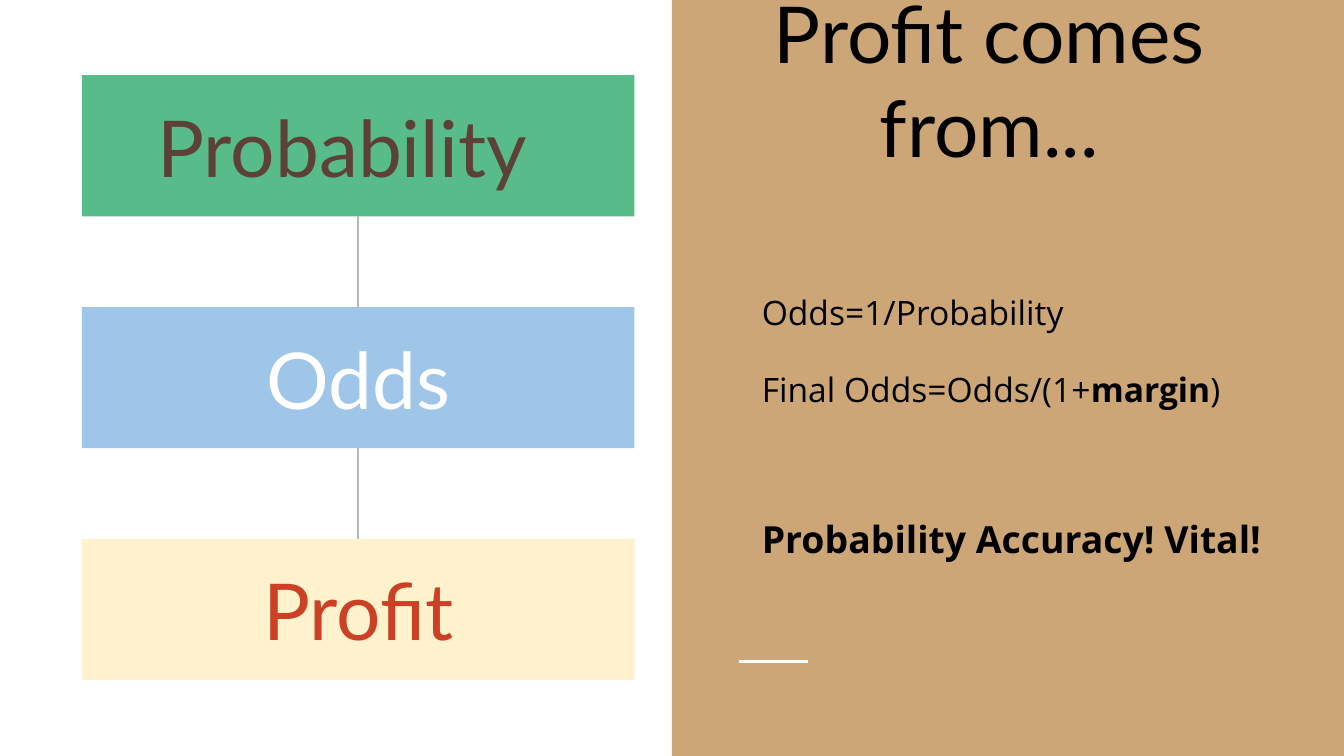
from lxml.etree import SubElement
from pptx import Presentation
from pptx.dml.color import RGBColor
from pptx.enum.shapes import MSO_CONNECTOR, MSO_SHAPE
from pptx.enum.text import MSO_ANCHOR, PP_ALIGN
from pptx.oxml.ns import qn
from pptx.util import Inches, Pt


def rgb(color):
    """Turn a hex string into a colour."""
    return RGBColor.from_string(color)


def add_rect(s, x, y, w, h, fill):
    """Add a filled rectangle without an outline."""
    sp = s.shapes.add_shape(
        MSO_SHAPE.RECTANGLE, Inches(x), Inches(y), Inches(w), Inches(h))
    sp.shadow.inherit = False
    sp.fill.solid()
    sp.fill.fore_color.rgb = rgb(fill)
    sp.line.fill.background()
    return sp


def add_line(s, x1, y1, x2, y2, color, width):
    """Add a straight line without a shadow."""
    line = s.shapes.add_connector(
        MSO_CONNECTOR.STRAIGHT, Inches(x1), Inches(y1), Inches(x2), Inches(y2))
    line.line.color.rgb = rgb(color)
    line.line.width = Pt(width)
    SubElement(line._element.spPr, qn("a:effectLst"))
    return line


def set_frame(tf, anchor, top=0.1, right=0.1):
    """Set wrapping, anchor and insets of a text frame."""
    tf.word_wrap = True
    tf.vertical_anchor = anchor
    tf.margin_left = tf.margin_bottom = Inches(0.1)
    tf.margin_top = Inches(top)
    tf.margin_right = Inches(right)


def add_run(p, text, size, font, color, bold=False):
    """Add one formatted run to a paragraph."""
    r = p.add_run()
    r.text = text
    r.font.size = Pt(size)
    r.font.name = font
    r.font.bold = bold
    r.font.color.rgb = rgb(color)


def add_chain(s, x, y, w, h):
    """Stack the three steps evenly and join neighbours with lines."""
    steps = [
        ("Probability", "57BB8A", "5D4037", 0.34),
        ("Odds", "9FC5E8", "FFFFFF", 0.1),
        ("Profit", "FFF2CC", "CC4125", 0.1),
    ]
    step_h = 1.05
    pitch = (h - step_h) / (len(steps) - 1)
    boxes = []
    for i, (text, fill, color, right) in enumerate(steps):
        sp = add_rect(s, x, y + i * pitch, w, step_h, fill)
        set_frame(sp.text_frame, MSO_ANCHOR.MIDDLE, right=right)
        p = sp.text_frame.paragraphs[0]
        p.alignment = PP_ALIGN.CENTER
        add_run(p, text, 42, "Lato", color)
        boxes.append(sp)
    for upper, lower in zip(boxes, boxes[1:]):
        line = add_line(s, x, y, x, y, "B7B7B7", 0.75)
        line.begin_connect(upper, 2)
        line.end_connect(lower, 0)


def add_panel(s, x, y, w, h):
    """Draw the tan panel with its title, formulas and short rule."""
    add_rect(s, x, y, w, h, "CCA677")
    add_line(s, x + 0.5, y + 4.92, x + 1.01, y + 4.92, "FFFFFF", 1.5)

    title = s.shapes.add_textbox(
        Inches(x + 0.24), Inches(y + 0.56), Inches(4.24), Inches(0.83))
    set_frame(title.text_frame, MSO_ANCHOR.BOTTOM)
    p = title.text_frame.paragraphs[0]
    p.alignment = PP_ALIGN.CENTER
    add_run(p, "Profit comes from...", 42, "Lato", "000000")

    body = s.shapes.add_textbox(
        Inches(x + 0.57), Inches(y + 0.79), Inches(4.2), Inches(4.04))
    tf = body.text_frame
    set_frame(tf, MSO_ANCHOR.TOP, top=1.34)
    lines = [
        (0, 18, [("Odds=1/Probability", False)]),
        (16, 18, [("Final Odds=Odds/(1+", False), ("margin", True), (")", False)]),
        (54, 20, [("Probability Accuracy! Vital!", True)]),
    ]
    for i, (before, size, runs) in enumerate(lines):
        p = tf.add_paragraph() if i else tf.paragraphs[0]
        p.line_spacing = 1.15
        p.space_before = Pt(before)
        for text, bold in runs:
            add_run(p, text, size, "Open Sans", "000000", bold)


def main():
    """Build the slide and save it."""
    prs = Presentation()
    prs.slide_width = Inches(10)
    prs.slide_height = prs.slide_width * 9 // 16
    s = prs.slides.add_slide(prs.slide_layouts[6])
    add_panel(s, 5, 0, 5, prs.slide_height / Inches(1))
    add_chain(s, 0.61, 0.56, 4.11, 4.5)
    prs.save("out.pptx")


if __name__ == "__main__":
    main()
